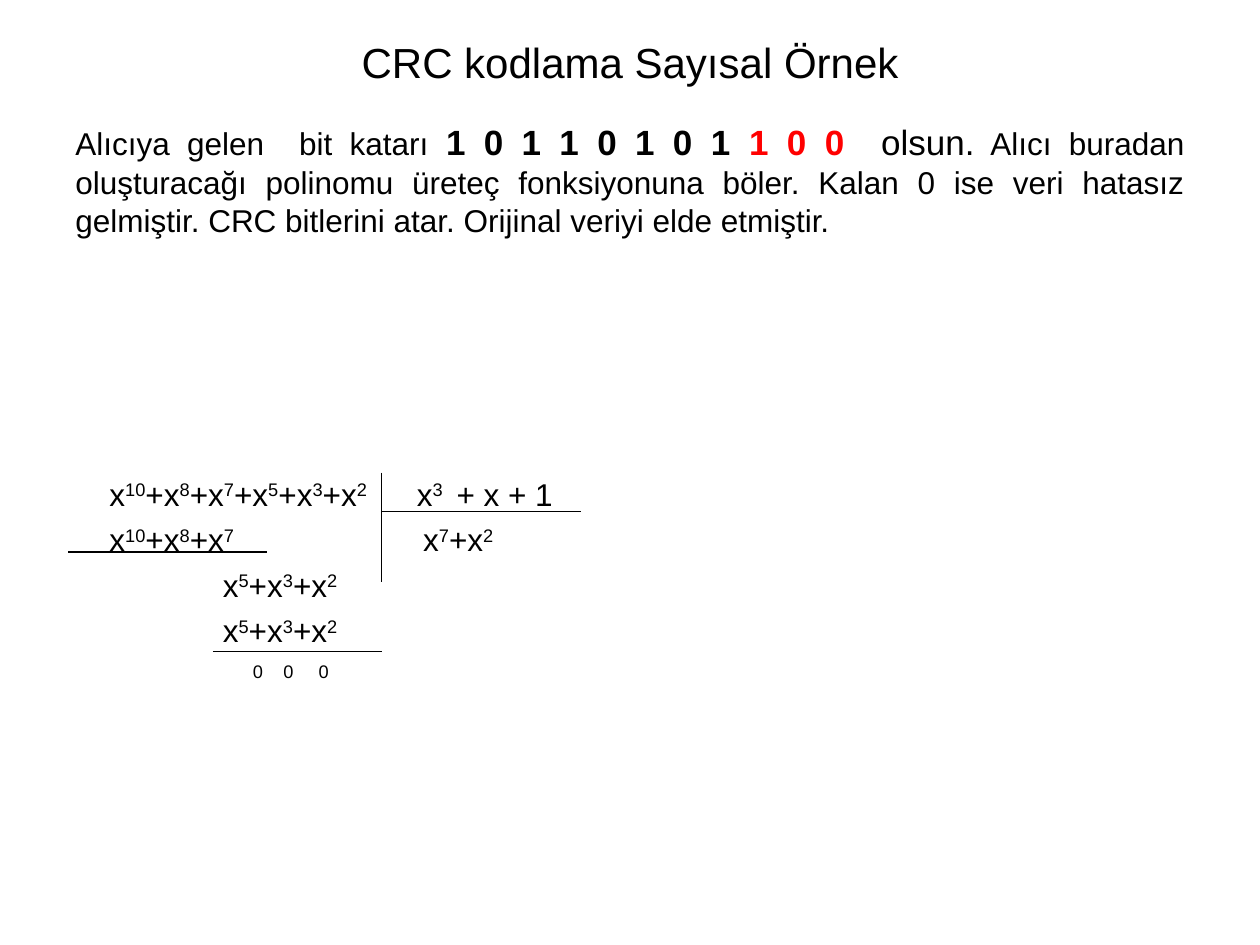
from pptx import Presentation
from pptx.dml.color import RGBColor
from pptx.enum.shapes import MSO_CONNECTOR
from pptx.enum.text import MSO_ANCHOR, PP_ALIGN
from pptx.oxml.ns import qn
from pptx.util import Inches, Pt

STRAIGHT = MSO_CONNECTOR.STRAIGHT
MIDDLE = MSO_ANCHOR.MIDDLE
CENTER = PP_ALIGN.CENTER
JUSTIFY = PP_ALIGN.JUSTIFY
TITLE_ONLY = 5
BLACK = "000000"
RED = "FF0000"
BODY = {"name": "Arial", "size": Pt(18), "bold": False}
BITS = {"name": "Arial", "size": Pt(20), "bold": True}
DIVISION_TOP = 3.72
ROW_HEIGHT = 0.36

INTRODUCTION = [
    ("Alıcıya gelen  bit katarı ", BODY, BLACK),
    ("1 0 1 1 0 1 0 1 ", BITS, BLACK),
    ("1 0 0  ", BITS, RED),
    ("olsun.", {**BITS, "bold": False}, BLACK),
    (" Alıcı buradan oluşturacağı polinomu üreteç fonksiyonuna böler. "
     "Kalan 0 ise veri hatasız gelmiştir. CRC bitlerini atar. "
     "Orijinal veriyi elde etmiştir.", BODY, BLACK),
]
DIVISION_TERMS = [
    ("x^10^+x^8^+x^7^+x^5^+x^3^+x^2^", 0.77, 0, 2.4),
    ("x^3 ^ + x + 1", 3.21, 0, 1.5),
    ("x^10^+x^8^+x^7^", 0.77, 1, 1.5),
    ("x^7^+x^2^", 3.26, 1, 1.5),
    ("x^5^+x^3^+x^2^", 1.67, 2, 1.5),
    ("x^5^+x^3^+x^2^", 1.67, 3, 1.5),
    ("^0^", 1.91, 4, 0.4),
    ("^0^", 2.15, 4, 0.4),
    ("^0^", 2.43, 4, 0.4),
]
DIVISION_LINES = [
    (3.03, 3.75, 3.03, 4.62),
    (3.03, 4.06, 4.61, 4.06),
    (0.54, 4.38, 2.12, 4.38),
    (1.69, 5.17, 3.03, 5.17),
]


def color(value):
    return RGBColor.from_string(value)


def add_run(paragraph, text, values, font_color):
    run = paragraph.add_run()
    run.text = text
    for name, value in values.items():
        setattr(run.font, name, value)
    run.font.color.rgb = color(font_color)
    return run


def set_title(slide, text):
    title = slide.shapes.title
    place = {"left": 0.5, "top": 0.3, "width": 9, "height": 0.38}
    for name, value in place.items():
        setattr(title, name, Inches(value))
    title.text_frame.vertical_anchor = MIDDLE
    paragraph = title.text_frame.paragraphs[0]
    paragraph.alignment = CENTER
    add_run(paragraph, text, {**BODY, "size": Pt(24)}, BLACK)


def add_text_box(slide, *place):
    box = slide.shapes.add_textbox(*map(Inches, place))
    box.text_frame.word_wrap = True
    return box.text_frame.paragraphs[0]


def add_introduction(slide):
    paragraph = add_text_box(slide, 0.5, 0.91, 9, 1.1)
    paragraph.alignment = JUSTIFY
    for text, values, font_color in INTRODUCTION:
        add_run(paragraph, text, values, font_color)


def add_polynomial(slide, text, left, row, width):
    top = DIVISION_TOP + row * ROW_HEIGHT
    paragraph = add_text_box(slide, left, top, width, ROW_HEIGHT)
    for index, part in enumerate(text.split("^")):
        if part:
            run = add_run(paragraph, part, BODY, BLACK)
            if index % 2:
                run.font._element.set("baseline", "30000")


def add_line(slide, ends):
    line = slide.shapes.add_connector(STRAIGHT, *map(Inches, ends))
    line.line.color.rgb = color(BLACK)
    line.line.width = Pt(0.75)
    properties = line._element.spPr
    properties.append(properties.makeelement(qn("a:effectLst"), {}))


def main():
    presentation = Presentation()
    presentation.slide_width = Inches(10)
    presentation.slide_height = Inches(7.5)
    slide = presentation.slides.add_slide(presentation.slide_layouts[TITLE_ONLY])
    set_title(slide, "CRC kodlama Sayısal Örnek")
    add_introduction(slide)
    for term in DIVISION_TERMS:
        add_polynomial(slide, *term)
    for ends in DIVISION_LINES:
        add_line(slide, ends)
    presentation.save("out.pptx")


if __name__ == "__main__":
    main()
